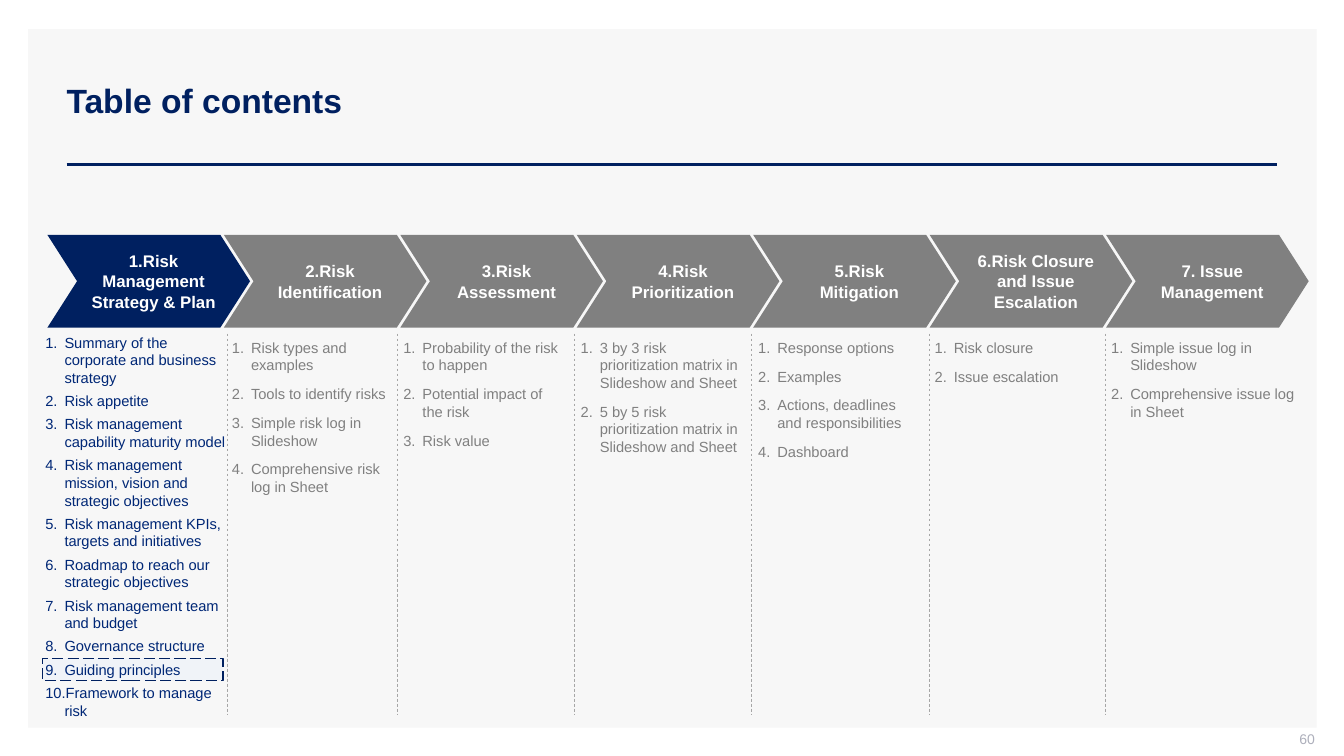
from dataclasses import dataclass

from lxml.etree import SubElement
from pptx import Presentation
from pptx.dml.color import RGBColor
from pptx.enum.dml import MSO_LINE_DASH_STYLE as Dash
from pptx.enum.shapes import MSO_CONNECTOR as Connector, MSO_SHAPE as Preset
from pptx.enum.text import MSO_ANCHOR as Anchor, PP_ALIGN as Align
from pptx.oxml.ns import qn
from pptx.util import Inches, Pt

COLORS = {
    "panel": "F7F7F7", "navy": "002060", "white": "FFFFFF", "gray": "808080",
    "current_text": "002776", "divider": "A6A6A6", "highlight": "D6E3FF",
    "page_number": "ADAFBB",
}
CHEVRON_LEFT, CHEVRON_STEP = 0.47, 1.75
INDENT = Inches(0.19)


@dataclass
class Step:
    title: str
    left: float
    width: float
    items: list[str]
    top: float = 3.31
    spacing: int = 4
    divider: float | None = None
    fill: str = "gray"
    color: str = "gray"


STEPS = [
    Step("1.Risk Management Strategy & Plan", 0.45, 1.9, [
        "Summary of the corporate and business strategy",
        "Risk appetite",
        "Risk management capability maturity model",
        "Risk management mission, vision and strategic objectives",
        "Risk management KPIs, targets and initiatives",
        "Roadmap to reach our strategic objectives",
        "Risk management team and budget",
        "Governance structure",
        "Guiding principles",
        "Framework to manage risk",
    ], top=3.26, spacing=2, fill="navy", color="current_text"),
    Step("2.Risk Identification", 2.3, 1.7, [
        "Risk types and examples",
        "Tools to identify risks",
        "Simple risk log in Slideshow",
        "Comprehensive risk log in Sheet",
    ], divider=2.25),
    Step("3.Risk Assessment", 4, 1.71, [
        "Probability of the risk to happen",
        "Potential impact of the risk",
        "Risk value",
    ], divider=3.94),
    Step("4.Risk Prioritization", 5.76, 1.76, [
        "3 by 3 risk prioritization matrix in Slideshow and Sheet",
        "5 by 5 risk prioritization matrix in Slideshow and Sheet",
    ], divider=5.7),
    Step("5.Risk Mitigation", 7.52, 1.68, [
        "Response options",
        "Examples",
        "Actions, deadlines and responsibilities",
        "Dashboard",
    ], divider=7.45),
    Step("6.Risk Closure and Issue Escalation", 9.27, 1.92, [
        "Risk closure",
        "Issue escalation",
    ], divider=9.22),
    Step("7. Issue Management", 11.02, 1.92, [
        "Simple issue log in Slideshow",
        "Comprehensive issue log in Sheet",
    ], divider=10.96),
]


def rgb(name: str) -> RGBColor:
    return RGBColor.from_string(COLORS[name])


def set_format(target, **values) -> None:
    for name, value in values.items():
        setattr(target, name, value)


def write(para, text: str, color: str, size: float, bold: bool = False) -> None:
    span = para.add_run()
    span.text = text
    set_format(span.font, name="Arial", size=Pt(size), bold=bold)
    span.font.color.rgb = rgb(color)


def set_frame(frame, left: float, top: float, right: float, bottom: float, anchor) -> None:
    """Wrap the text, anchor it and set its insets in inches."""
    set_format(frame, word_wrap=True, vertical_anchor=anchor,
               margin_left=Inches(left), margin_top=Inches(top),
               margin_right=Inches(right), margin_bottom=Inches(bottom))


def add_filled(shapes, preset, left: float, top: float, width: float, height: float, fill: str):
    shape = shapes.add_shape(preset, Inches(left), Inches(top), Inches(width), Inches(height))
    shape.shadow.inherit = False
    shape.fill.solid()
    shape.fill.fore_color.rgb = rgb(fill)
    shape.line.fill.background()
    return shape


def add_line(shapes, x1: float, y1: float, x2: float, y2: float, color: str, width: float, dash=None) -> None:
    line = shapes.add_connector(Connector.STRAIGHT, Inches(x1), Inches(y1), Inches(x2), Inches(y2))
    line.line.color.rgb = rgb(color)
    set_format(line.line, width=Pt(width), dash_style=dash)
    SubElement(line.element.spPr, qn("a:effectLst"))


def add_highlight(shapes) -> None:
    box = add_filled(shapes, Preset.RECTANGLE, 0.42, 6.53, 1.79, 0.22, "highlight")
    color = box.element.spPr.find(qn("a:solidFill"))[0]
    SubElement(color, qn("a:alpha"), val="20000")
    box.line.color.rgb = rgb("navy")
    set_format(box.line, width=Pt(1), dash_style=Dash.LONG_DASH)


def add_chevron(shapes, index: int, step: Step) -> None:
    left = CHEVRON_LEFT + index * CHEVRON_STEP
    chevron = add_filled(shapes, Preset.CHEVRON, left, 2.33, 2.01, 0.92, step.fill)
    chevron.adjustments[0] = 0.32
    set_frame(chevron.text_frame, 0.1, 0.05, 0, 0.05, Anchor.MIDDLE)
    para = chevron.text_frame.paragraphs[0]
    para.alignment = Align.CENTER
    write(para, step.title, "white", 12, bold=True)


def add_numbered_list(shapes, step: Step) -> None:
    box = shapes.add_textbox(Inches(step.left), Inches(step.top), Inches(step.width), Inches(7.22 - step.top))
    frame = box.text_frame
    set_frame(frame, 0, 0.05, 0.1, 0.05, Anchor.TOP)
    for index, item in enumerate(step.items):
        para = frame.add_paragraph() if index else frame.paragraphs[0]
        properties = para._p.get_or_add_pPr()
        properties.set("marL", str(INDENT))
        properties.set("indent", str(-INDENT))
        SubElement(properties, qn("a:buFont"), typeface="+mj-lt")
        SubElement(properties, qn("a:buAutoNum"), type="arabicPeriod")
        set_format(para, space_before=Pt(step.spacing if index else 0), space_after=Pt(step.spacing))
        write(para, item, step.color, 10.5)


def add_title(slide) -> None:
    title = slide.shapes.title
    set_format(title, left=Inches(0.56), top=Inches(0.4), width=Inches(12.11), height=Inches(1.19))
    set_frame(title.text_frame, 0.1, 0.05, 0.1, 0.05, Anchor.MIDDLE)
    para = title.text_frame.paragraphs[0]
    para.alignment = Align.LEFT
    write(para, "Table of contents", "navy", 24, bold=True)
    title.element.getparent().append(title.element)  # in front of the panel


def add_page_number(shapes) -> None:
    box = shapes.add_textbox(Inches(10.04), Inches(7.25), Inches(3), Inches(0.21))
    set_frame(box.text_frame, 0.1, 0, 0, 0.05, Anchor.MIDDLE)
    para = box.text_frame.paragraphs[0]
    para.alignment = Align.RIGHT
    write(para, "60", "page_number", 10)


def main() -> None:
    deck = Presentation()
    set_format(deck, slide_width=Inches(13.33), slide_height=Inches(7.5))
    slide = deck.slides.add_slide(deck.slide_layouts[5])
    shapes = slide.shapes
    add_filled(shapes, Preset.RECTANGLE, 0.28, 0.29, 12.78, 6.93, "panel")
    add_line(shapes, 0.66, 1.63, 12.67, 1.63, "navy", 2)
    add_highlight(shapes)
    add_title(slide)
    add_page_number(shapes)
    for index, step in enumerate(STEPS):
        add_chevron(shapes, index, step)
        if step.divider is not None:
            add_line(shapes, step.divider, 3.31, step.divider, 7.09, "divider", 0.5, Dash.DASH)
        add_numbered_list(shapes, step)
    deck.save("out.pptx")


if __name__ == "__main__":
    main()
